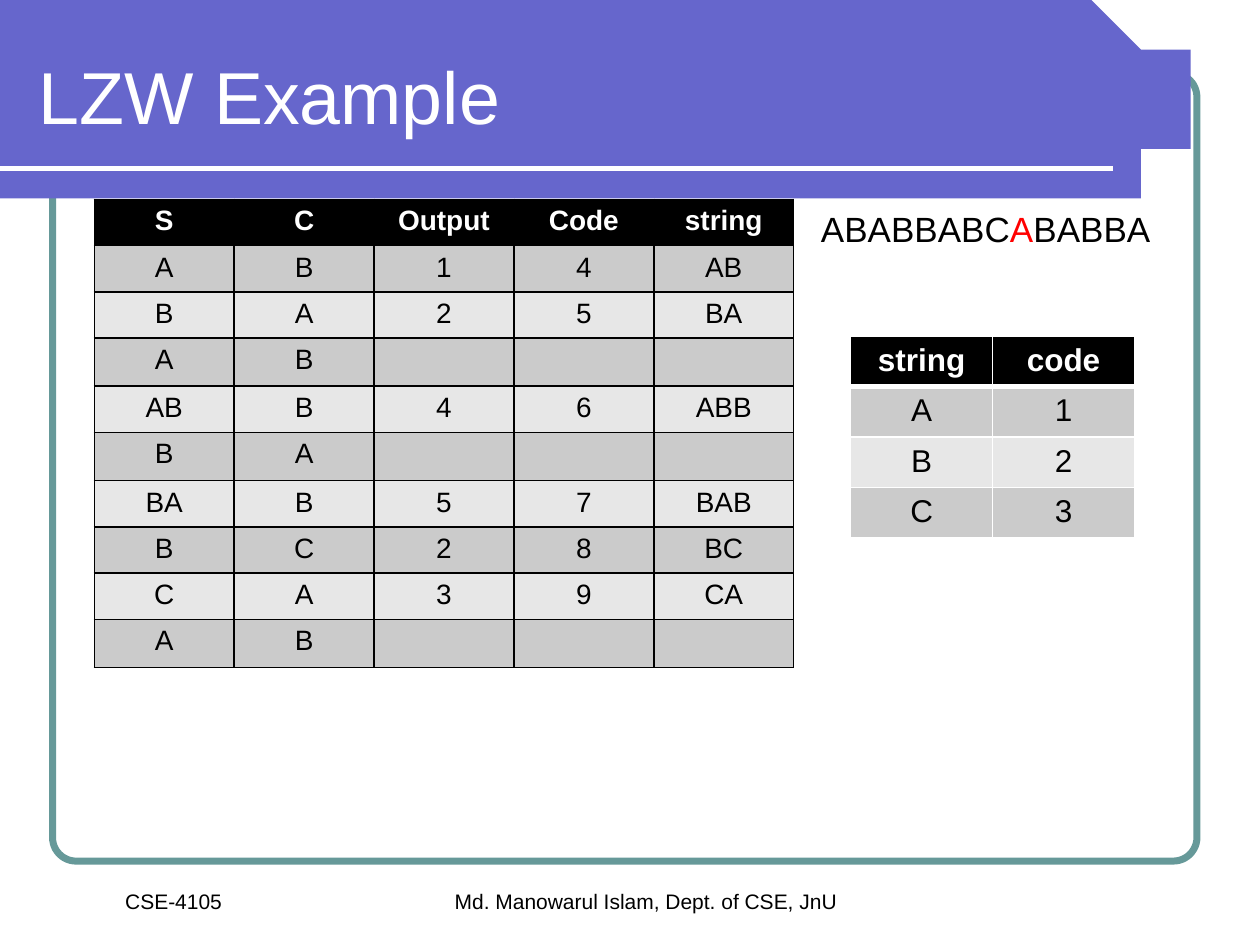
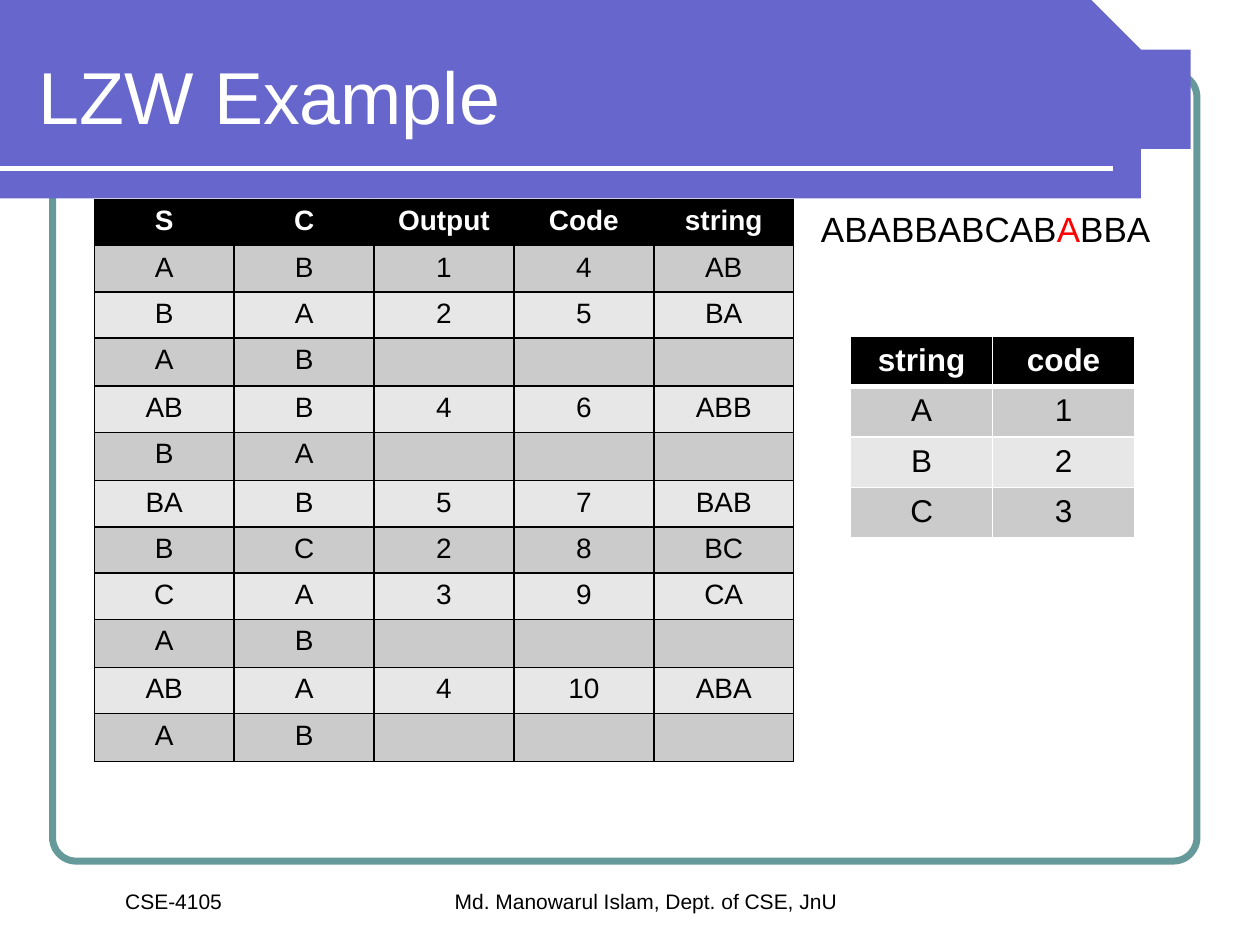
from math import cos, pi, sin

from lxml.etree import SubElement
from pptx import Presentation
from pptx.dml.color import RGBColor
from pptx.enum.shapes import MSO_CONNECTOR, MSO_SHAPE
from pptx.enum.text import MSO_ANCHOR, PP_ALIGN
from pptx.oxml.ns import qn
from pptx.util import Cm, Pt

FONT = "Arial"
HUES = {
    "band": "6666CC",
    "frame": "669999",
    "dark": "000000",
    "light": "FFFFFF",
    "odd": "CBCBCB",
    "even": "E7E7E7",
    "hit": "FF0000",
}
WORD = "ABABBABCABABBA"
HEAD = ["S", "C", "Output", "Code", "string"]
STEPS = [
    "A B 1 4 AB",
    "B A 2 5 BA",
    "A B",
    "AB B 4 6 ABB",
    "B A",
    "BA B 5 7 BAB",
    "B C 2 8 BC",
    "C A 3 9 CA",
    "A B",
    "AB A 4 10 ABA",
    "A B",
]
CODES = ["A 1", "B 2", "C 3"]


def hue(name):
    return RGBColor.from_string(HUES[name])


def style(font, size, color, bold=False):
    font.name = FONT
    font.size = Pt(size)
    font.bold = bold
    font.color.rgb = hue(color)


def add_text(slide, box, text, size, color="dark", align=PP_ALIGN.LEFT, anchor=MSO_ANCHOR.TOP):
    frame = slide.shapes.add_textbox(*map(Cm, box)).text_frame
    frame.word_wrap = True
    frame.vertical_anchor = anchor
    para = frame.paragraphs[0]
    para.text = text
    para.alignment = align
    style(para.font, size, color)
    return para


def add_frame(slide):
    shape = slide.shapes.add_shape(
        MSO_SHAPE.ROUNDED_RECTANGLE, Cm(1.06), Cm(1.48), Cm(23.07), Cm(15.88))
    shape.adjustments[0] = 0.03
    shape.shadow.inherit = False
    shape.fill.background()
    shape.line.color.rgb = hue("frame")
    shape.line.width = Pt(4)


def add_band(slide):
    top, radius, edge, steps = 0.42, 1.7, 22.01, 48
    turns = [pi * i / steps - pi / 2 for i in range(steps + 1)]
    arc = [(edge + radius * cos(t), top + radius + radius * sin(t)) for t in turns]
    path = slide.shapes.build_freeform(0, top, scale=Cm(1))
    path.add_line_segments(arc + [(0, top + 2 * radius)], close=True)
    band = path.convert_to_shape()
    band.shadow.inherit = False
    band.fill.solid()
    band.fill.fore_color.rgb = hue("band")
    band.line.fill.background()


def add_rule(slide):
    rule = slide.shapes.add_connector(
        MSO_CONNECTOR.STRAIGHT, 0, Cm(3.39), Cm(22.44), Cm(3.39))
    rule.line.color.rgb = hue("light")
    rule.line.width = Pt(3)
    SubElement(rule._element.spPr, qn("a:effectLst"))


def add_base(slide, title):
    add_frame(slide)
    add_band(slide)
    add_rule(slide)
    add_text(slide, (4.45, 17.78, 17.15, 1.55),
             "Md. Manowarul Islam, Dept. of CSE, JnU", 12, align=PP_ALIGN.CENTER)
    add_text(slide, (0.64, 17.78, 5.72, 0.76), "CSE-4105", 12, align=PP_ALIGN.CENTER)
    add_text(slide, (0.53, 0.64, 22.28, 2.54), title, 42, "light", anchor=MSO_ANCHOR.MIDDLE)


def add_word(slide, spot):
    para = add_text(slide, (16.3, 4.23, 10.37, 1.27), "", 20)
    para.line_spacing = 0.8
    props = para._p.get_or_add_pPr()
    props.set("marL", str(Cm(0.95)))
    props.set("indent", str(-Cm(0.95)))
    for part in (WORD[:spot], WORD[spot], WORD[spot + 1:]):
        para.add_run().text = part
    para.runs[1].font.color.rgb = hue("hit")


def set_edges(cell, color, widths):
    props = cell._tc.get_or_add_tcPr()
    for side, width in zip("LRTB", widths):
        line = SubElement(props, qn("a:ln" + side), w=str(Pt(width)))
        fill = SubElement(line, qn("a:solidFill"))
        SubElement(fill, qn("a:srgbClr"), val=HUES[color])


def fill_cell(cell, text, size, row):
    cell.fill.solid()
    cell.fill.fore_color.rgb = hue(("even", "odd")[row % 2] if row else "dark")
    para = cell.text_frame.paragraphs[0]
    para.text = text
    para.alignment = PP_ALIGN.CENTER
    style(para.font, size, "dark" if row else "light", bold=not row)
    if not text:
        SubElement(para._p, qn("a:endParaRPr"), sz=str(size * 100))


def add_grid(slide, spot, head, lines, wide, tall, size, edge, rule=1):
    rows = [head] + [line.split() for line in lines]
    left, top = map(Cm, spot)
    table = slide.shapes.add_table(
        len(rows), len(head), left, top, Cm(wide * len(head)), Cm(tall * len(rows))).table
    for col in table.columns:
        col.width = Cm(wide)
    for r, row in enumerate(rows):
        full = len(row) == len(head)
        table.rows[r].height = Cm(tall if full else tall + 0.04)
        widths = (1, 1, rule if r == 1 else 1, rule if r == 0 else 1)
        for c in range(len(head)):
            cell = table.cell(r, c)
            set_edges(cell, edge, widths)
            fill_cell(cell, row[c] if c < len(row) else "", size, r)


def add_slide(deck, count, spot):
    slide = deck.slides.add_slide(deck.slide_layouts[6])
    add_base(slide, "LZW Example")
    add_word(slide, spot)
    add_grid(slide, (1.9, 4.02), HEAD, STEPS[:count], 2.82, 0.93, 16, "dark")
    add_grid(slide, (17.15, 6.78), ["string", "code"], CODES, 2.86, 1.01, 18, "light", 3)


def main():
    deck = Presentation()
    deck.slide_width = Cm(25.4)
    deck.slide_height = Cm(19.05)
    for count, spot in ((9, 8), (11, 10)):
        add_slide(deck, count, spot)
    deck.save("out.pptx")


if __name__ == "__main__":
    main()
